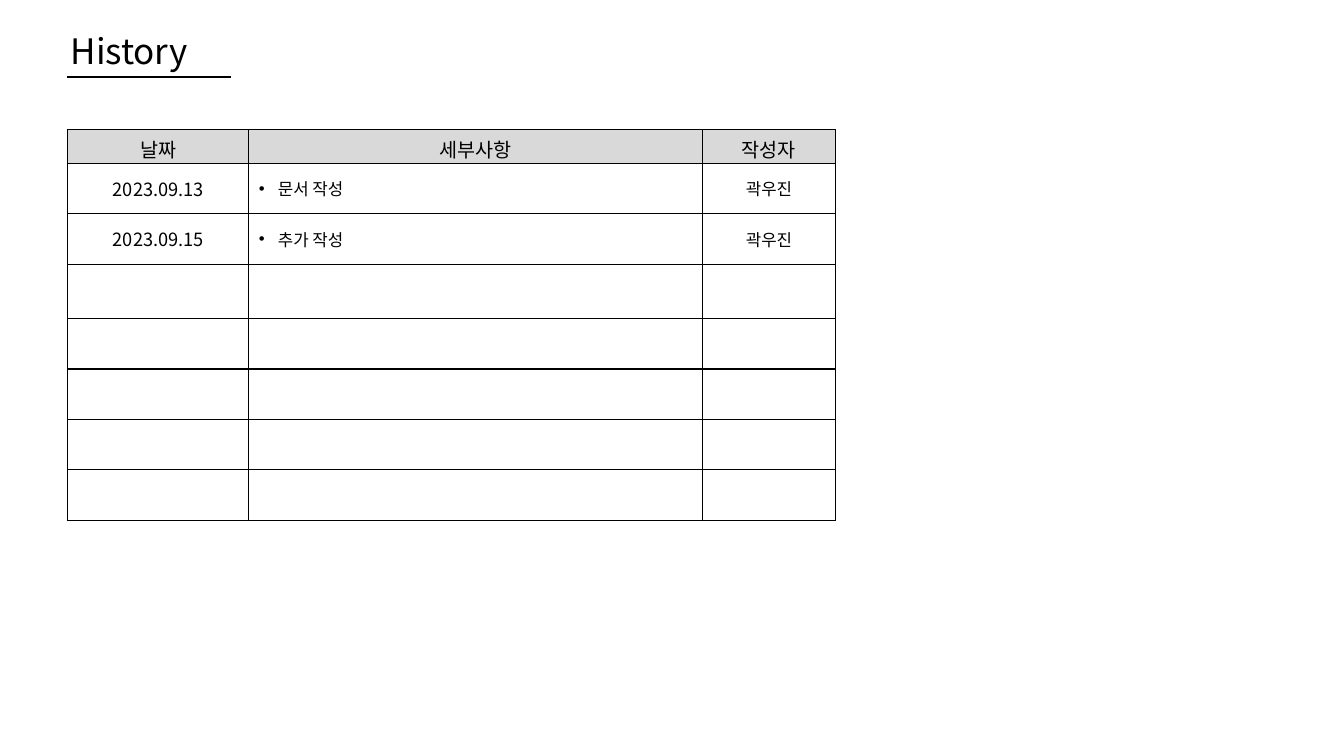
from dataclasses import dataclass

from lxml import etree
from pptx import Presentation
from pptx.dml.color import RGBColor
from pptx.enum.shapes import MSO_CONNECTOR
from pptx.enum.text import MSO_ANCHOR, MSO_AUTO_SIZE, PP_ALIGN
from pptx.oxml.ns import qn
from pptx.util import Pt

LEFT, CENTER = PP_ALIGN.LEFT, PP_ALIGN.CENTER
TOP, MIDDLE = MSO_ANCHOR.TOP, MSO_ANCHOR.MIDDLE
NO_AUTOFIT = MSO_AUTO_SIZE.NONE
STRAIGHT = MSO_CONNECTOR.STRAIGHT

BLACK = RGBColor(0x00, 0x00, 0x00)
HEADER_GREY = RGBColor(0xD9, 0xD9, 0xD9)
FONT = "Noto Sans CJK KR"
TITLE_ONLY = 5

LEFT_EDGE = 48.2
COLUMN_WIDTHS = (129.6, 324, 95)
ROW_HEIGHTS = (24, 36, 36, 39, 36, 36, 36, 36)
HEADINGS = ("날짜", "세부사항", "작성자")
BULLET_INDENT = 13.5


@dataclass(frozen=True)
class Revision:
    date: str
    detail: str
    author: str


REVISIONS = (
    Revision("2023.09.13", "문서 작성", "곽우진"),
    Revision("2023.09.15", "추가 작성", "곽우진"),
)


def write(frame, text: str, *, size: float, align=CENTER, bullet: bool = False) -> None:
    paragraph = frame.paragraphs[0]
    paragraph.alignment = align
    run = paragraph.add_run()
    run.text = text
    run.font.size = Pt(size)
    run.font.name = FONT
    run.font.color.rgb = BLACK
    etree.SubElement(run.font._element, qn("a:ea"), typeface=FONT)
    if bullet:
        properties = paragraph._p.get_or_add_pPr()
        properties.set("marL", str(Pt(BULLET_INDENT)))
        properties.set("indent", str(-Pt(BULLET_INDENT)))
        etree.SubElement(properties, qn("a:buFont"), typeface="Arial")
        etree.SubElement(properties, qn("a:buChar"), char="•")


def add_borders(cell) -> None:
    properties = cell._tc.get_or_add_tcPr()
    for position, side in enumerate(("a:lnL", "a:lnR", "a:lnT", "a:lnB")):
        border = etree.Element(qn(side), w=str(Pt(1)))
        fill = etree.SubElement(border, qn("a:solidFill"))
        etree.SubElement(fill, qn("a:srgbClr"), val=str(BLACK))
        properties.insert(position, border)


def add_title(slide) -> None:
    title = slide.shapes.title
    title.left, title.top = Pt(43.2), Pt(17.3)
    title.width, title.height = Pt(333.4), Pt(37.4)
    frame = title.text_frame
    frame.auto_size = NO_AUTOFIT
    frame.vertical_anchor = MIDDLE
    write(frame, "History", size=25, align=LEFT)

    underline = slide.shapes.add_connector(
        STRAIGHT, Pt(LEFT_EDGE), Pt(54.9), Pt(165), Pt(54.9))
    underline.line.color.rgb = BLACK
    underline.line.width = Pt(1.75)
    etree.SubElement(underline._element.spPr, qn("a:effectLst"))


def add_history(slide) -> None:
    history = slide.shapes.add_table(
        len(ROW_HEIGHTS), len(COLUMN_WIDTHS), Pt(LEFT_EDGE), Pt(92.6),
        Pt(sum(COLUMN_WIDTHS)), Pt(sum(ROW_HEIGHTS))).table
    history.first_row = history.horz_banding = False
    for column, width in zip(history.columns, COLUMN_WIDTHS):
        column.width = Pt(width)
    for row, height in zip(history.rows, ROW_HEIGHTS):
        row.height = Pt(height)
    for cell in history.iter_cells():
        cell.fill.background()
        cell.vertical_anchor = MIDDLE
        add_borders(cell)

    for column, heading in enumerate(HEADINGS):
        cell = history.cell(0, column)
        cell.fill.solid()
        cell.fill.fore_color.rgb = HEADER_GREY
        cell.vertical_anchor = TOP
        cell.margin_bottom = 0
        write(cell.text_frame, heading, size=14)
    for row, revision in enumerate(REVISIONS, start=1):
        date, detail, author = (history.cell(row, column).text_frame for column in range(3))
        write(date, revision.date, size=13)
        write(detail, revision.detail, size=12, align=LEFT, bullet=True)
        write(author, revision.author, size=12)


def main() -> None:
    deck = Presentation()
    deck.slide_width, deck.slide_height = Pt(960), Pt(540)
    slide = deck.slides.add_slide(deck.slide_layouts[TITLE_ONLY])
    add_title(slide)
    add_history(slide)
    deck.save("out.pptx")


if __name__ == "__main__":
    main()
